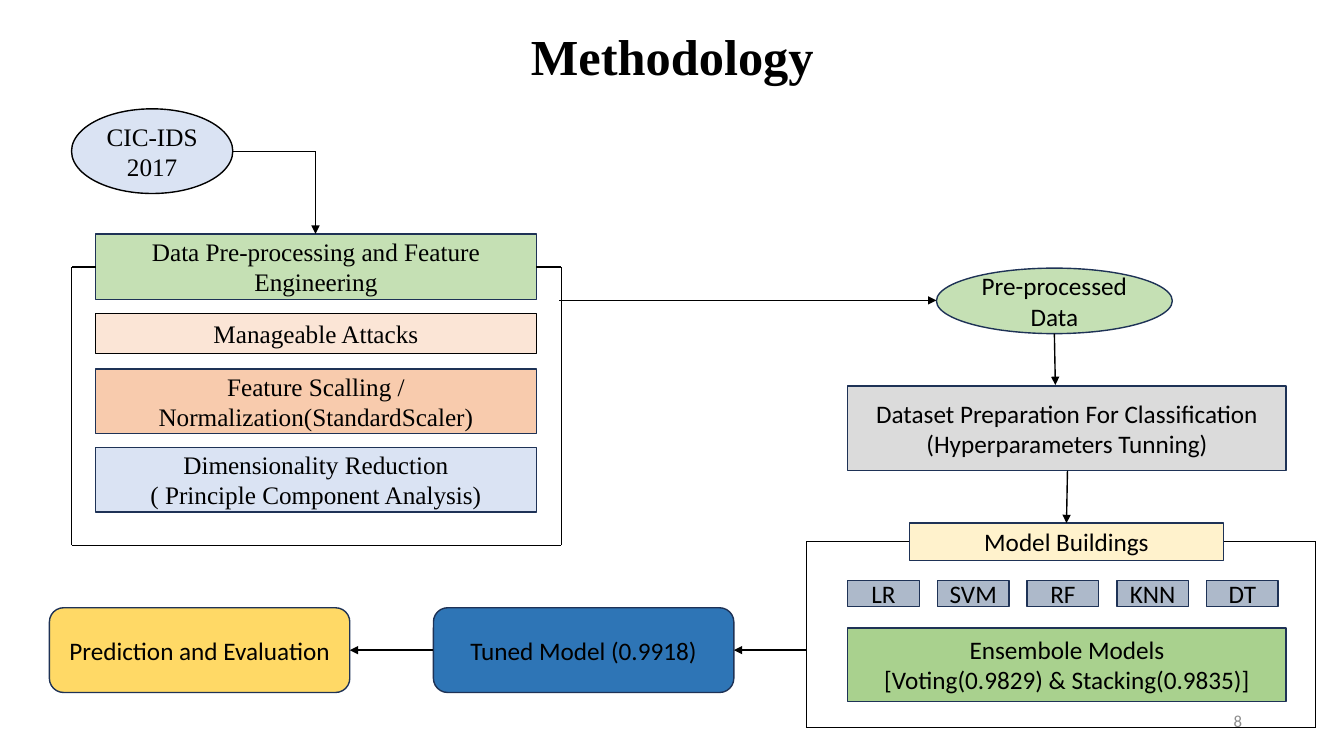
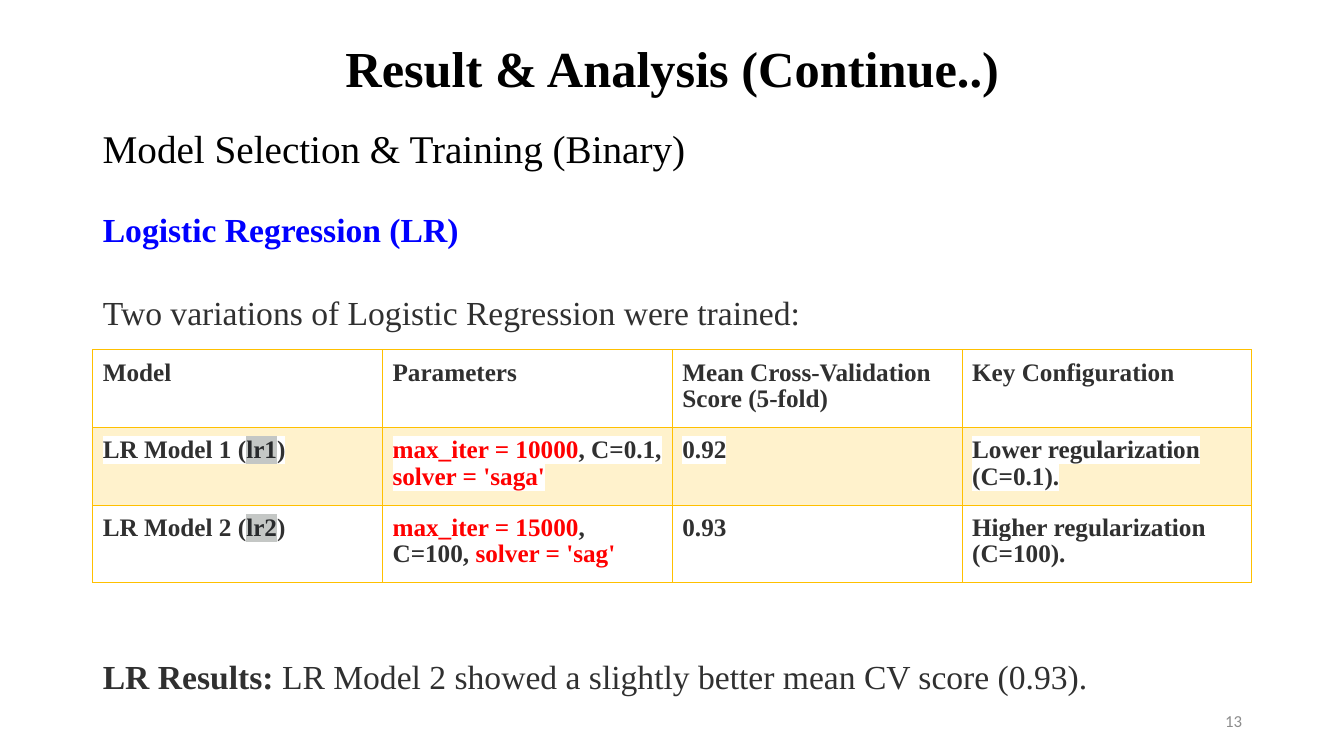
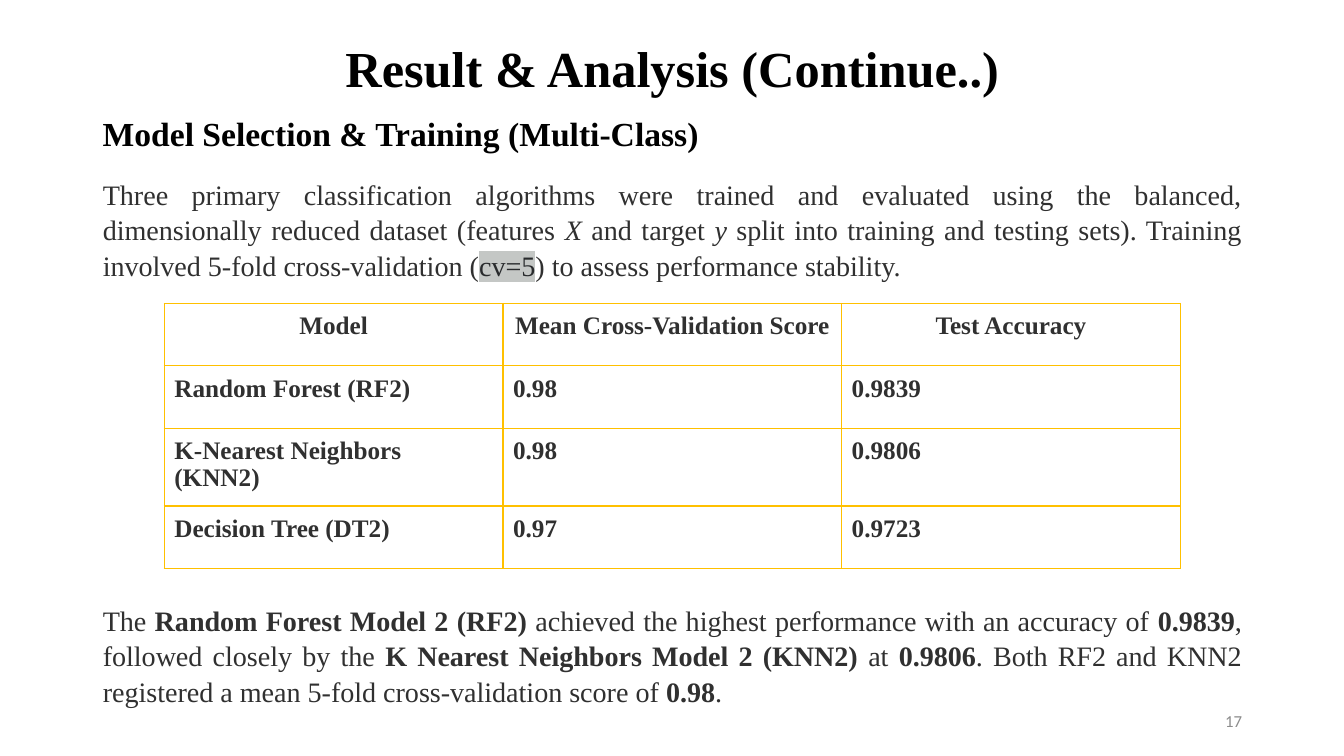
"""Build three slides on an intrusion detection study: its methodology and model results."""
from dataclasses import dataclass
from itertools import pairwise

from lxml.etree import SubElement
from pptx import Presentation
from pptx.dml.color import RGBColor
from pptx.enum.shapes import MSO_CONNECTOR, MSO_SHAPE
from pptx.enum.text import MSO_ANCHOR, MSO_AUTO_SIZE, PP_ALIGN
from pptx.oxml.ns import qn
from pptx.util import Inches, Pt

CELL = Inches(0.1)
WIDE, HIGH = 133.33, 75
LEFT, SPAN = 9.2, 115
SERIF, SANS = "Times New Roman", "Calibri"

BLACK = RGBColor(0x00, 0x00, 0x00)
WHITE = RGBColor(0xFF, 0xFF, 0xFF)
INK = RGBColor(0x30, 0x30, 0x30)
CODE_INK = RGBColor(0x28, 0x2A, 0x2C)
CODE_GRAY = RGBColor(0xC4, 0xC7, 0xC5)
PAGE_GRAY = RGBColor(0x8C, 0x8C, 0x8C)
RED = RGBColor(0xFF, 0x00, 0x00)
BLUE = RGBColor(0x00, 0x00, 0xFF)
GOLD = RGBColor(0xFF, 0xC0, 0x00)
CREAM = RGBColor(0xFF, 0xF2, 0xCC)
NAVY = RGBColor(0x1E, 0x32, 0x56)
PALE_BLUE = RGBColor(0xDA, 0xE3, 0xF3)
PALE_GREEN = RGBColor(0xC5, 0xE0, 0xB4)
GREEN = RGBColor(0xA9, 0xD1, 0x8E)
PEACH = RGBColor(0xFB, 0xE5, 0xD6)
ORANGE = RGBColor(0xF8, 0xCB, 0xAD)
LIGHT_GRAY = RGBColor(0xDB, 0xDB, 0xDB)
SLATE = RGBColor(0xAD, 0xB9, 0xCA)
STRONG_BLUE = RGBColor(0x2E, 0x75, 0xB6)
YELLOW = RGBColor(0xFF, 0xD9, 0x66)


@dataclass(frozen=True)
class Box:
    col: float
    row: float
    cols: float
    rows: float

    def emu(self) -> tuple[int, ...]:
        return tuple(round(v * CELL) for v in (self.col, self.row, self.cols, self.rows))


@dataclass(frozen=True)
class Span:
    text: str
    bold: bool = False
    italic: bool = False
    color: RGBColor = INK
    mark: RGBColor | None = None


@dataclass(frozen=True)
class Para:
    spans: tuple[Span, ...]
    before: float = 0


@dataclass(frozen=True)
class Node:
    text: str
    box: Box
    fill: RGBColor
    font: str = SANS
    geometry: MSO_SHAPE = MSO_SHAPE.RECTANGLE
    line: RGBColor = NAVY


@dataclass(frozen=True)
class Route:
    points: tuple[tuple[float, float], ...]
    arrow: bool = True


@dataclass(frozen=True)
class Grid:
    box: Box
    heights: tuple[float, ...]
    rows: tuple[tuple[tuple[Span, ...], ...], ...]
    header_align: PP_ALIGN = PP_ALIGN.LEFT
    tinted_rows: tuple[int, ...] = ()


def code(text: str, bold: bool = False) -> Span:
    return Span(text, bold, color=CODE_INK, mark=CODE_GRAY)


def strong(text: str, color: RGBColor = INK, mark: RGBColor | None = None) -> Span:
    return Span(text, True, color=color, mark=mark)


def style_run(r, font: str, size: float, span: Span) -> None:
    r.font.name, r.font.size = font, Pt(size)
    r.font.bold, r.font.italic = span.bold, span.italic
    r.font.color.rgb = span.color
    if span.mark is not None:
        fill = r.font._element.find(qn("a:solidFill"))
        highlight = SubElement(r.font._element, qn("a:highlight"))
        SubElement(highlight, qn("a:srgbClr")).set("val", str(span.mark))
        fill.addnext(highlight)


def write_spans(p, spans: tuple[Span, ...], font: str, size: float) -> None:
    for span in spans:
        r = p.add_run()
        r.text = span.text
        style_run(r, font, size, span)


def place(sp, box: Box) -> None:
    sp.left, sp.top, sp.width, sp.height = box.emu()


def add_label(s, box: Box, span: Span, font: str, size: float,
              align: PP_ALIGN = PP_ALIGN.LEFT, inset: float = 0.05,
              anchor: MSO_ANCHOR = MSO_ANCHOR.MIDDLE, spacing: float = 1.0) -> None:
    tf = s.shapes.add_textbox(*box.emu()).text_frame
    tf.word_wrap, tf.vertical_anchor = True, anchor
    tf.margin_top = tf.margin_bottom = Inches(inset)
    p = tf.paragraphs[0]
    p.alignment, p.line_spacing = align, spacing
    write_spans(p, (span,), font, size)


def add_slide(prs, layout: int, title: str, title_box: Box, number: int):
    s = prs.slides.add_slide(prs.slide_layouts[layout])
    place(s.shapes.title, title_box)
    tf = s.shapes.title.text_frame
    tf.text = title
    tf.auto_size, tf.vertical_anchor = MSO_AUTO_SIZE.NONE, MSO_ANCHOR.MIDDLE
    p = tf.paragraphs[0]
    p.alignment, p.line_spacing = PP_ALIGN.CENTER, 0.9
    style_run(p.runs[0], SERIF, 36, strong(title, BLACK))
    add_label(s, Box(94.2, 69.5, 30, 4), Span(str(number), color=PAGE_GRAY), SANS, 12,
              PP_ALIGN.RIGHT)
    return s


def fill_body(s, box: Box, paras: tuple[Para, ...], size: float, align: PP_ALIGN) -> None:
    body = s.placeholders[1]
    place(body, box)
    tf = body.text_frame
    tf.auto_size, tf.vertical_anchor = MSO_AUTO_SIZE.NONE, MSO_ANCHOR.TOP
    for i, para in enumerate(paras):
        p = tf.add_paragraph() if i else tf.paragraphs[0]
        ppr = p._p.get_or_add_pPr()
        ppr.set("marL", "0")
        ppr.set("indent", "0")
        SubElement(ppr, qn("a:buNone"))
        p.alignment, p.line_spacing = align, 1.05
        p.space_before, p.space_after = Pt(para.before), Pt(0)
        write_spans(p, para.spans, SERIF, size)


def add_node(s, node: Node) -> None:
    sp = s.shapes.add_shape(node.geometry, *node.box.emu())
    sp.shadow.inherit = False
    sp.fill.solid()
    sp.fill.fore_color.rgb = node.fill
    sp.line.color.rgb, sp.line.width = node.line, Pt(1)
    tf = sp.text_frame
    tf.text = node.text
    tf.word_wrap, tf.vertical_anchor = True, MSO_ANCHOR.MIDDLE
    for p in tf.paragraphs:
        p.alignment = PP_ALIGN.CENTER
        style_run(p.runs[0], node.font, 18, Span(p.text, color=BLACK))


def add_route(s, route: Route) -> None:
    for start, end in pairwise(route.points):
        ends = [round(v * CELL) for v in (*start, *end)]
        line = s.shapes.add_connector(MSO_CONNECTOR.STRAIGHT, *ends)
        line.line.color.rgb, line.line.width = BLACK, Pt(1)
        if route.arrow and end == route.points[-1]:
            SubElement(line.line._get_or_add_ln(), qn("a:tailEnd")).set("type", "triangle")
        SubElement(line._element.spPr, qn("a:effectLst"))


def add_borders(cell) -> None:
    tcpr = cell._tc.get_or_add_tcPr()
    for side in ("lnL", "lnR", "lnT", "lnB"):
        ln = SubElement(tcpr, qn(f"a:{side}"), w=str(Pt(1)))
        fill = SubElement(ln, qn("a:solidFill"))
        SubElement(fill, qn("a:srgbClr"), val=str(GOLD))


def add_grid(s, grid: Grid) -> None:
    count = len(grid.rows[0])
    table = s.shapes.add_table(len(grid.rows), count, *grid.box.emu()).table
    table.first_row = table.horz_banding = False
    for column in table.columns:
        column.width = round(grid.box.cols * CELL / count)
    for i, (row, height) in enumerate(zip(grid.rows, grid.heights)):
        table.rows[i].height = round(height * CELL)
        for j, spans in enumerate(row):
            cell = table.cell(i, j)
            cell.margin_left = cell.margin_right = CELL
            cell.margin_top = cell.margin_bottom = CELL
            add_borders(cell)
            if i in grid.tinted_rows:
                cell.fill.solid()
                cell.fill.fore_color.rgb = CREAM
            else:
                cell.fill.background()
            p = cell.text_frame.paragraphs[0]
            p.alignment = PP_ALIGN.LEFT if i else grid.header_align
            p.line_spacing = 0.95
            write_spans(p, spans, SERIF, 18)


def plain_row(*texts: str) -> tuple[tuple[Span, ...], ...]:
    return tuple((strong(text, mark=WHITE),) for text in texts)


def model_row(name: str, iterations: int, c: str, solver: str, score: str,
              level: str) -> tuple[tuple[Span, ...], ...]:
    model = (strong(f"LR Model {name[-1]} (", mark=WHITE), code(name, True),
             strong(")", mark=WHITE))
    parameters = (strong(f"max_iter = {iterations}", RED, WHITE),
                  strong(f", C={c}, ", mark=WHITE),
                  strong(f"solver = '{solver}'", RED, WHITE))
    return (model, parameters, *plain_row(score, f"{level} regularization (C={c})."))


def methodology(prs) -> None:
    s = add_slide(prs, 5, "Methodology", Box(LEFT, 1.7, SPAN, 8.4), 8)
    oval, rounded = MSO_SHAPE.OVAL, MSO_SHAPE.ROUNDED_RECTANGLE
    step_col, step_cols = 9.5, 43.7
    model_col, model_cols = 84.1, 43.5
    nodes = (
        Node("CIC-IDS 2017", Box(7.1, 10.8, 16, 8.4), PALE_BLUE, SERIF, oval, BLACK),
        Node("Data Pre-processing and Feature Engineering",
             Box(step_col, 23.2, step_cols, 6.5), PALE_GREEN, SERIF),
        Node("Manageable Attacks", Box(step_col, 31.1, step_cols, 4), PEACH, SERIF, line=BLACK),
        Node("Feature Scalling / Normalization(StandardScaler)",
             Box(step_col, 36.6, step_cols, 6.4), ORANGE, SERIF),
        Node("Dimensionality Reduction\n( Principle Component Analysis)",
             Box(step_col, 44.4, step_cols, 6.4), PALE_BLUE, SERIF),
        Node("Pre-processed Data", Box(92.9, 26.6, 23.4, 6.5), PALE_GREEN, geometry=oval),
        Node("Dataset Preparation For Classification (Hyperparameters Tunning)",
             Box(model_col, 38.3, model_cols, 8.4), LIGHT_GRAY),
        Node("Model Buildings", Box(90.2, 51.9, 31.2, 3.7), CREAM),
        *(Node(name, Box(model_col + 8.9 * i, 57.6, 7.1, 2.6), SLATE)
          for i, name in enumerate(("LR", "SVM", "RF", "KNN", "DT"))),
        Node("Ensembole Models\n[Voting(0.9829) & Stacking(0.9835)]",
             Box(model_col, 62.3, model_cols, 7.3), GREEN),
        Node("Tuned Model (0.9918)", Box(43, 60.3, 29.8, 8.4), STRONG_BLUE, geometry=rounded),
        Node("Prediction and Evaluation", Box(4.9, 60.3, 29.8, 8.4), YELLOW, geometry=rounded),
    )
    routes = (
        Route(((23.1, 15), (31.3, 15), (31.3, 23.2))),
        Route(((9.5, 26.5), (7.1, 26.5), (7.1, 54.1), (55.7, 54.1), (55.7, 26.5),
               (53.2, 26.5)), False),
        Route(((55.5, 29.8), (92.9, 29.8))),
        Route(((104.6, 33.1), (104.7, 38.2))),
        Route(((105.9, 46.7), (105.8, 51.9))),
        Route(((90.2, 53.7), (80, 53.7), (80, 72.2), (130.5, 72.2), (130.5, 53.7),
               (121.4, 53.7)), False),
        Route(((80, 64.5), (72.8, 64.5))),
        Route(((43, 64.5), (34.7, 64.5))),
    )
    for node in nodes:
        add_node(s, node)
    for route in routes:
        add_route(s, route)


def binary_results(prs) -> None:
    s = add_slide(prs, 1, "Result & Analysis (Continue..)", Box(LEFT, 4, SPAN, 6.1), 13)
    fill_body(s, Box(LEFT, 20, SPAN, 52.2), (
        Para((strong("Logistic Regression (LR)", BLUE),)),
        Para((Span("Two variations of Logistic Regression were trained:"),), 29),
        Para((strong("LR Results:"),
              Span(" LR Model 2 showed a slightly better mean CV score (0.93).")), 230),
    ), 24, PP_ALIGN.LEFT)
    add_label(s, Box(LEFT, 11.9, 93.2, 6.3),
              Span("Model Selection & Training (Binary)", color=BLACK), SERIF, 28,
              inset=0.1, anchor=MSO_ANCHOR.TOP, spacing=0.9)
    add_grid(s, Grid(Box(LEFT, 34.7, SPAN, 22.8), (7.6,) * 3, (
        plain_row("Model", "Parameters", "Mean Cross-Validation Score (5-fold)",
                  "Key Configuration"),
        model_row("lr1", 10000, "0.1", "saga", "0.92", "Lower"),
        model_row("lr2", 15000, "100", "sag", "0.93", "Higher"),
    ), tinted_rows=(1,)))


def multiclass_results(prs) -> None:
    s = add_slide(prs, 1, "Result & Analysis (Continue..)", Box(LEFT, 2.6, SPAN, 9), 17)
    fill_body(s, Box(LEFT, 16.9, SPAN, 55.5), (
        Para((Span("Three primary classification algorithms were trained and evaluated using "
                   "the balanced, dimensionally reduced dataset (features "),
              Span("X", italic=True), Span(" and target "), Span("y", italic=True),
              Span(" split into training and testing sets). Training involved 5-fold "
                   "cross-validation ("),
              code("cv=5"), Span(") to assess performance stability."))),
        Para((Span("The "), strong("Random Forest Model 2 (RF2)"),
              Span(" achieved the highest performance with an accuracy of "),
              strong("0.9839"), Span(", followed closely by the "),
              strong("K Nearest Neighbors Model 2 (KNN2)"), Span(" at "), strong("0.9806"),
              Span(". Both RF2 and KNN2 registered a mean 5-fold cross-validation score of "),
              strong("0.98"), Span(".")), 228.5),
    ), 20.1, PP_ALIGN.JUSTIFY)
    add_label(s, Box(LEFT, 10.7, 93.2, 5.2),
              strong("Model Selection & Training (Multi-Class)", BLACK), SERIF, 24,
              inset=0.1, anchor=MSO_ANCHOR.TOP, spacing=0.9)
    add_grid(s, Grid(Box(16.3, 30.1, 100.8, 26.2), (6.2, 6.2, 7.6, 6.2), (
        plain_row("Model", "Mean Cross-Validation Score", "Test Accuracy"),
        plain_row("Random Forest (RF2)", "0.98", "0.9839"),
        plain_row("K-Nearest Neighbors (KNN2)", "0.98", "0.9806"),
        plain_row("Decision Tree (DT2)", "0.97", "0.9723"),
    ), PP_ALIGN.CENTER))


def main() -> None:
    prs = Presentation()
    prs.slide_width, prs.slide_height = round(WIDE * CELL), round(HIGH * CELL)
    methodology(prs)
    binary_results(prs)
    multiclass_results(prs)
    prs.save("out.pptx")


if __name__ == "__main__":
    main()
